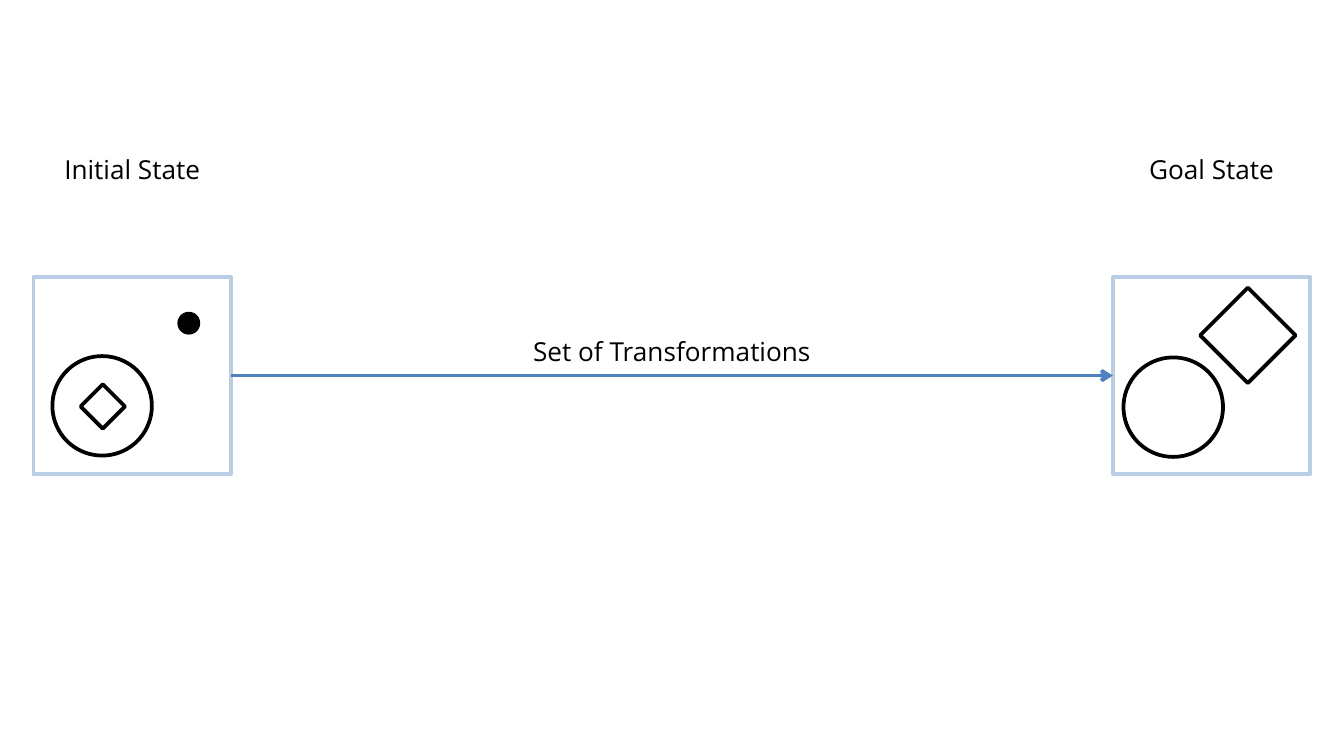
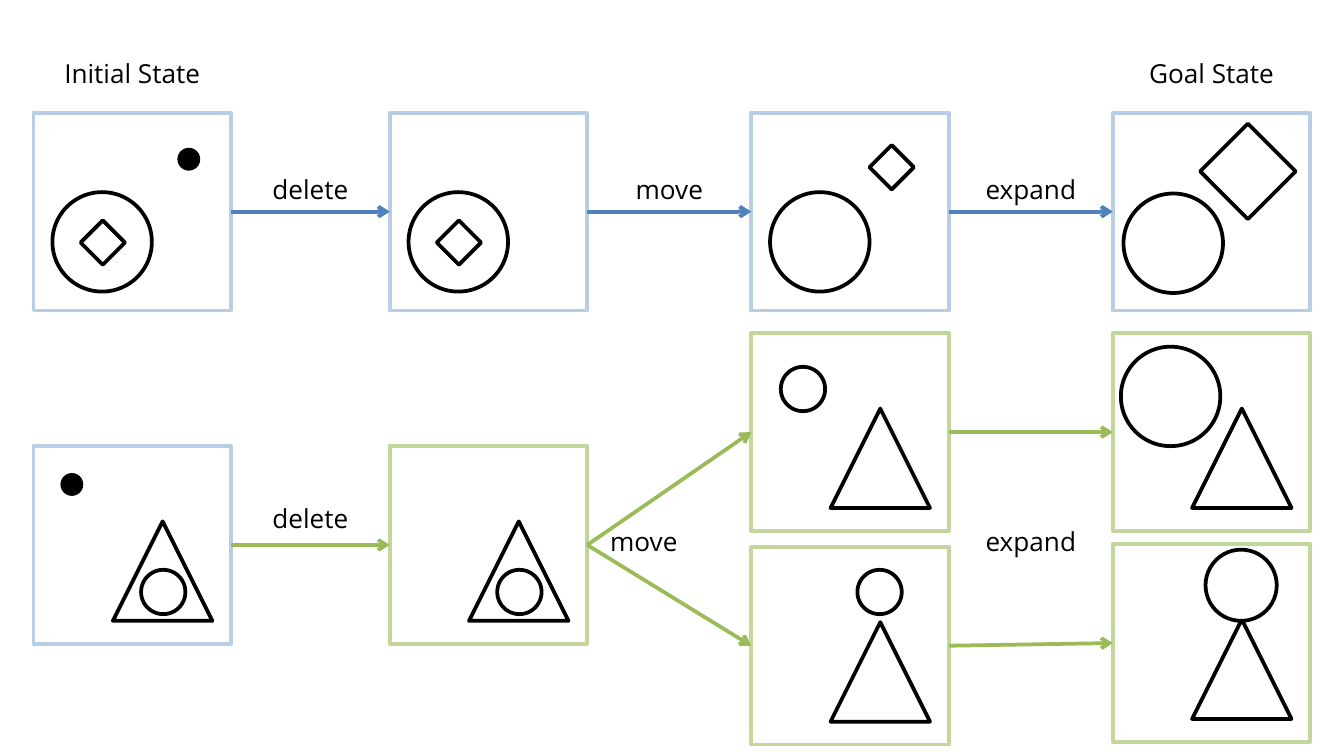
from dataclasses import dataclass

from lxml import etree
from pptx import Presentation
from pptx.dml.color import RGBColor
from pptx.enum.shapes import MSO_CONNECTOR, MSO_SHAPE
from pptx.enum.text import MSO_AUTO_SIZE, PP_ALIGN
from pptx.oxml.ns import qn
from pptx.shapes.autoshape import Shape
from pptx.shapes.connector import Connector
from pptx.slide import Slide
from pptx.util import Inches, Pt

RECTANGLE, OVAL = MSO_SHAPE.RECTANGLE, MSO_SHAPE.OVAL
DIAMOND, TRIANGLE = MSO_SHAPE.DIAMOND, MSO_SHAPE.ISOSCELES_TRIANGLE
STRAIGHT = MSO_CONNECTOR.STRAIGHT
CENTER = PP_ALIGN.CENTER
GROW = MSO_AUTO_SIZE.SHAPE_TO_FIT_TEXT
LEFT_SITE, RIGHT_SITE = 1, 3

# Shared look
BLACK = RGBColor(0x00, 0x00, 0x00)
WHITE = RGBColor(0xFF, 0xFF, 0xFF)
BLUE = RGBColor(0x4F, 0x81, 0xBD)
LIGHT_BLUE = RGBColor(0xB9, 0xCD, 0xE5)
GREEN = RGBColor(0x9B, 0xBB, 0x59)
LIGHT_GREEN = RGBColor(0xC3, 0xD6, 0x9B)
FONT = "Open Sans"
LINE_WIDTH = Pt(2)

# Grid in inches: four columns of square panels
SLIDE_WIDTH, SLIDE_HEIGHT = 10, 5.625
COLUMNS = (0.25, 2.9, 5.59, 8.28)
PANEL = 1.47
SINGLE_ROW = 2.06
TOP_ROW, UPPER_ROW, MIDDLE_ROW = 0.84, 2.48, 3.32
LOWER_ROW, LOWER_GOAL_ROW = 4.07, 4.05
LABEL_WIDTH, LABEL_HEIGHT = 1.18, 0.34
LARGE, SMALL = 0.74, 0.33


@dataclass(frozen=True)
class Figure:
    """A shape placed relative to the corner of its panel."""
    kind: int
    left: float
    top: float
    size: float
    fill: RGBColor = WHITE


@dataclass(frozen=True)
class State:
    """A panel in a grid column, holding figures."""
    column: int
    top: float
    color: RGBColor
    figures: tuple[Figure, ...]


# Figures that recur between states
CIRCLE = Figure(OVAL, 0.14, 0.59, LARGE)
INNER_DIAMOND = Figure(DIAMOND, 0.35, 0.8, SMALL)
MOVED_DIAMOND = Figure(DIAMOND, 0.88, 0.24, SMALL)
RIGHT_DOT = Figure(OVAL, 1.07, 0.26, 0.17, BLACK)
LEFT_DOT = Figure(OVAL, 0.2, 0.2, 0.17, BLACK)
CONE = Figure(TRIANGLE, 0.59, 0.56, LARGE)
INNER_CIRCLE = Figure(OVAL, 0.8, 0.92, SMALL)

INITIAL = (CIRCLE, INNER_DIAMOND, RIGHT_DOT)
GOAL = (Figure(OVAL, 0.08, 0.6, LARGE), Figure(DIAMOND, 0.65, 0.08, 0.71))


def add_shape(shapes, kind: int, left: float, top: float, size: float,
              fill: RGBColor | None, line: RGBColor | None) -> Shape:
    """Draw one flat square-bounded shape."""
    shape = shapes.add_shape(kind, Inches(left), Inches(top),
                             Inches(size), Inches(size))
    shape.shadow.inherit = False
    if fill is None:
        shape.fill.background()
    else:
        shape.fill.solid()
        shape.fill.fore_color.rgb = fill
    if line is None:
        shape.line.fill.background()
    else:
        shape.line.color.rgb = line
        shape.line.width = LINE_WIDTH
    return shape


def add_state(slide: Slide, state: State, grouped: bool = False) -> Shape:
    """Draw a panel with its figures and return the frame."""
    shapes = slide.shapes.add_group_shape().shapes if grouped else slide.shapes
    left = COLUMNS[state.column]
    frame = add_shape(shapes, RECTANGLE, left, state.top, PANEL, None, state.color)
    for figure in state.figures:
        outline = None if figure.fill == BLACK else BLACK
        add_shape(shapes, figure.kind, left + figure.left, state.top + figure.top,
                  figure.size, figure.fill, outline)
    return frame


def add_arrow(slide: Slide, start: Shape, end: Shape, color: RGBColor) -> Connector:
    """Join the right side of one panel to the left side of another."""
    connector = slide.shapes.add_connector(STRAIGHT, 0, 0, 0, 0)
    connector.begin_connect(start, RIGHT_SITE)
    connector.end_connect(end, LEFT_SITE)
    connector.line.color.rgb = color
    connector.line.width = LINE_WIDTH
    properties = connector._element.spPr
    etree.SubElement(properties.find(qn("a:ln")), qn("a:tailEnd"), type="arrow")
    etree.SubElement(properties, qn("a:effectLst"))
    return connector


def add_label(slide: Slide, text: str, *, left: float, top: float,
              width: float, size: int = 14, color: RGBColor = BLACK) -> None:
    """Draw a centred line of text."""
    box = slide.shapes.add_textbox(Inches(left), Inches(top),
                                   Inches(width), Inches(LABEL_HEIGHT))
    frame = box.text_frame
    frame.word_wrap = True
    frame.auto_size = GROW
    paragraph = frame.paragraphs[0]
    paragraph.alignment = CENTER
    run = paragraph.add_run()
    run.text = text
    run.font.name = FONT
    run.font.size = Pt(size)
    run.font.color.rgb = color


def add_step_label(slide: Slide, text: str, gap: int, top: float,
                   shift: float = 0) -> None:
    """Centre a label in the gap that follows a column."""
    middle = (COLUMNS[gap] + PANEL + COLUMNS[gap + 1]) / 2
    add_label(slide, text, left=middle - LABEL_WIDTH / 2 + shift, top=top,
              width=LABEL_WIDTH)


def add_headings(slide: Slide, top: float) -> None:
    """Name the first and the last column."""
    for text, left in (("Initial State", COLUMNS[0]), ("Goal State", COLUMNS[-1])):
        add_label(slide, text, left=left, top=top, width=PANEL)


def build_overview(slide: Slide) -> None:
    """One arrow leads from the initial state to the goal."""
    start = add_state(slide, State(0, SINGLE_ROW, LIGHT_BLUE, INITIAL))
    goal = add_state(slide, State(3, SINGLE_ROW, LIGHT_BLUE, GOAL))
    gap_left = COLUMNS[0] + PANEL
    add_label(slide, "Set of Transformations", left=gap_left, top=2.45,
              width=COLUMNS[3] - gap_left)
    add_arrow(slide, start, goal, BLUE)
    add_headings(slide, 1.09)


def build_steps(slide: Slide) -> None:
    """Each transformation is a step; the second row branches."""
    # Known sequence
    add_headings(slide, 0.38)
    sequence = (INITIAL, (CIRCLE, INNER_DIAMOND), (CIRCLE, MOVED_DIAMOND), GOAL)
    known = [add_state(slide, State(column, TOP_ROW, LIGHT_BLUE, figures), grouped=True)
             for column, figures in enumerate(sequence)]
    for start, end in zip(known, known[1:]):
        add_arrow(slide, start, end, BLUE)
    for gap, text in enumerate(("delete", "move", "expand")):
        add_step_label(slide, text, gap, 1.24)

    # Analogous sequence with two possible outcomes
    start = add_state(slide, State(0, MIDDLE_ROW, LIGHT_BLUE,
                                   (CONE, LEFT_DOT, INNER_CIRCLE)))
    deleted = add_state(slide, State(1, MIDDLE_ROW, LIGHT_GREEN, (CONE, INNER_CIRCLE)))
    add_arrow(slide, start, deleted, GREEN)
    branches = (
        (UPPER_ROW, Figure(OVAL, 0.22, 0.25, SMALL),
         UPPER_ROW, Figure(OVAL, 0.06, 0.1, LARGE)),
        (LOWER_ROW, Figure(OVAL, 0.79, 0.17, SMALL),
         LOWER_GOAL_ROW, Figure(OVAL, 0.69, 0.04, 0.53)),
    )
    for moved_top, moved_circle, goal_top, goal_circle in branches:
        moved = add_state(slide, State(2, moved_top, LIGHT_GREEN, (CONE, moved_circle)))
        goal = add_state(slide, State(3, goal_top, LIGHT_GREEN, (CONE, goal_circle)))
        add_arrow(slide, deleted, moved, GREEN)
        add_arrow(slide, moved, goal, GREEN)
    add_step_label(slide, "delete", 0, 3.69)
    add_step_label(slide, "move", 1, 3.86, shift=-0.19)
    add_step_label(slide, "expand", 2, 3.86)


presentation = Presentation()
presentation.slide_width = Inches(SLIDE_WIDTH)
presentation.slide_height = Inches(SLIDE_HEIGHT)
blank_layout = presentation.slide_layouts[6]
for build in (build_overview, build_steps):
    build(presentation.slides.add_slide(blank_layout))
presentation.save("out.pptx")
